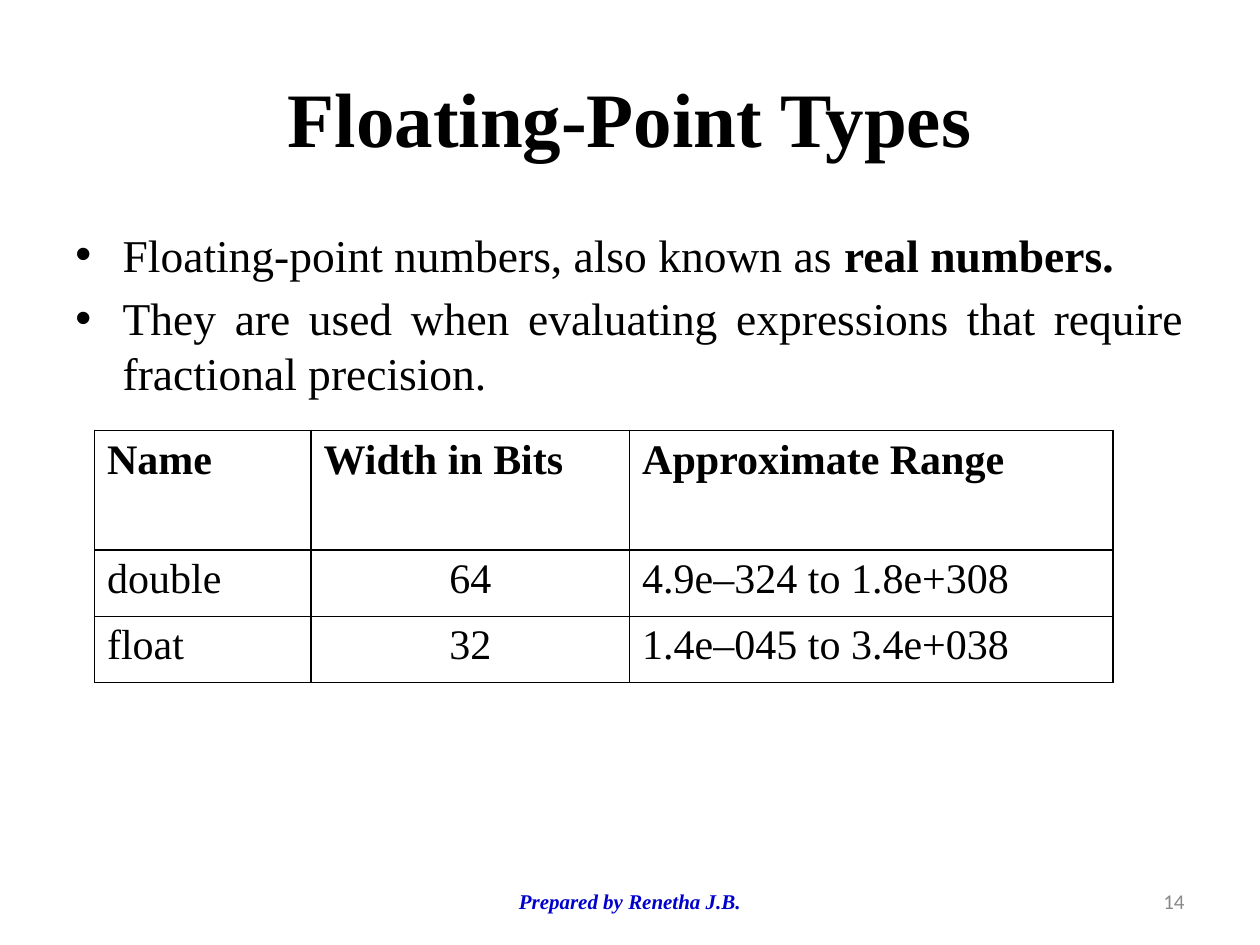
from lxml.etree import SubElement
from pptx import Presentation
from pptx.dml.color import RGBColor
from pptx.enum.text import MSO_ANCHOR, PP_ALIGN
from pptx.oxml.ns import qn
from pptx.util import Pt

SERIF = "Times New Roman"
BLACK = "000000"


def color(hex_code):
    return RGBColor.from_string(hex_code)


def add_run(paragraph, text, size=26, font=SERIF, hex_code=BLACK, bold=False, italic=False):
    run = paragraph.add_run()
    run.text = text
    run.font.size = Pt(size)
    run.font.name = font
    run.font.bold = bold
    run.font.italic = italic
    run.font.color.rgb = color(hex_code)


def add_box(slide, left, top, width, height, anchor=MSO_ANCHOR.MIDDLE):
    frame = slide.shapes.add_textbox(Pt(left), Pt(top), Pt(width), Pt(height)).text_frame
    frame.word_wrap = True
    frame.vertical_anchor = anchor
    return frame


def add_line(slide, text, left, top, width, height, align=PP_ALIGN.CENTER, **text_format):
    paragraph = add_box(slide, left, top, width, height).paragraphs[0]
    paragraph.alignment = align
    add_run(paragraph, text, **text_format)


def set_bullet(paragraph, indent=27):
    properties = paragraph._p.get_or_add_pPr()
    properties.set("marL", str(Pt(indent)))
    properties.set("indent", str(-Pt(indent)))
    SubElement(properties, qn("a:buFont")).set("typeface", "Arial")
    SubElement(properties, qn("a:buChar")).set("char", "•")


def add_bullets(slide, items, left, top, width, height):
    frame = add_box(slide, left, top, width, height, MSO_ANCHOR.TOP)
    for index, runs in enumerate(items):
        paragraph = frame.paragraphs[0] if index == 0 else frame.add_paragraph()
        set_bullet(paragraph)
        paragraph.alignment = PP_ALIGN.JUSTIFY
        if index:
            paragraph.space_before = Pt(5.2)
        for text, bold in runs:
            add_run(paragraph, text, bold=bold)


def set_borders(cell, hex_code=BLACK, width=1):
    properties = cell._tc.get_or_add_tcPr()
    for position, side in enumerate(("lnL", "lnR", "lnT", "lnB")):
        line = SubElement(properties, qn(f"a:{side}"), w=str(Pt(width)))
        fill = SubElement(line, qn("a:solidFill"))
        SubElement(fill, qn("a:srgbClr"), val=hex_code)
        # Borders come before the cell fill in the schema
        properties.insert(position, line)


def add_grid(slide, rows, left, top, widths, heights):
    frame = slide.shapes.add_table(len(rows), len(widths), Pt(left), Pt(top),
                                   Pt(sum(widths)), Pt(sum(heights)))
    table = frame.table
    table.horz_banding = False
    for column, width in zip(table.columns, widths):
        column.width = Pt(width)
    for row_index, (values, height) in enumerate(zip(rows, heights)):
        table.rows[row_index].height = Pt(height)
        for column_index, value in enumerate(values):
            cell = table.cell(row_index, column_index)
            cell.fill.background()
            set_borders(cell)
            paragraph = cell.text_frame.paragraphs[0]
            is_number = row_index > 0 and column_index == 1
            paragraph.alignment = PP_ALIGN.CENTER if is_number else PP_ALIGN.LEFT
            add_run(paragraph, value, size=24, bold=row_index == 0)


def main():
    presentation = Presentation()
    presentation.slide_width = Pt(720)
    presentation.slide_height = Pt(540)
    slide = presentation.slides.add_slide(presentation.slide_layouts[6])

    # Title
    add_line(slide, "Floating-Point Types", 36, 21.6, 648, 90, size=44, bold=True)

    # Explanation
    add_bullets(slide, [
        [("Floating-point numbers, also known as ", False), ("real numbers.", True)],
        [("They are used when evaluating expressions that require fractional precision.", False)],
    ], 36, 126, 648, 356.4)

    # Table of types
    add_grid(slide, [
        ("Name", "Width in Bits", "Approximate Range"),
        ("double", "64", "4.9e–324 to 1.8e+308"),
        ("float", "32", "1.4e–045 to 3.4e+038"),
    ], 54, 246, widths=(123.8, 182, 276.3), heights=(68.2, 38, 38))

    # Page number and footer
    add_line(slide, "14", 516, 500.5, 168, 28.8, align=PP_ALIGN.RIGHT,
             size=12, font="Calibri", hex_code="898989")
    add_line(slide, "Prepared by Renetha J.B.", 246, 500.5, 228, 28.8,
             size=12, hex_code="0000CC", bold=True, italic=True)

    presentation.save("out.pptx")


if __name__ == "__main__":
    main()
